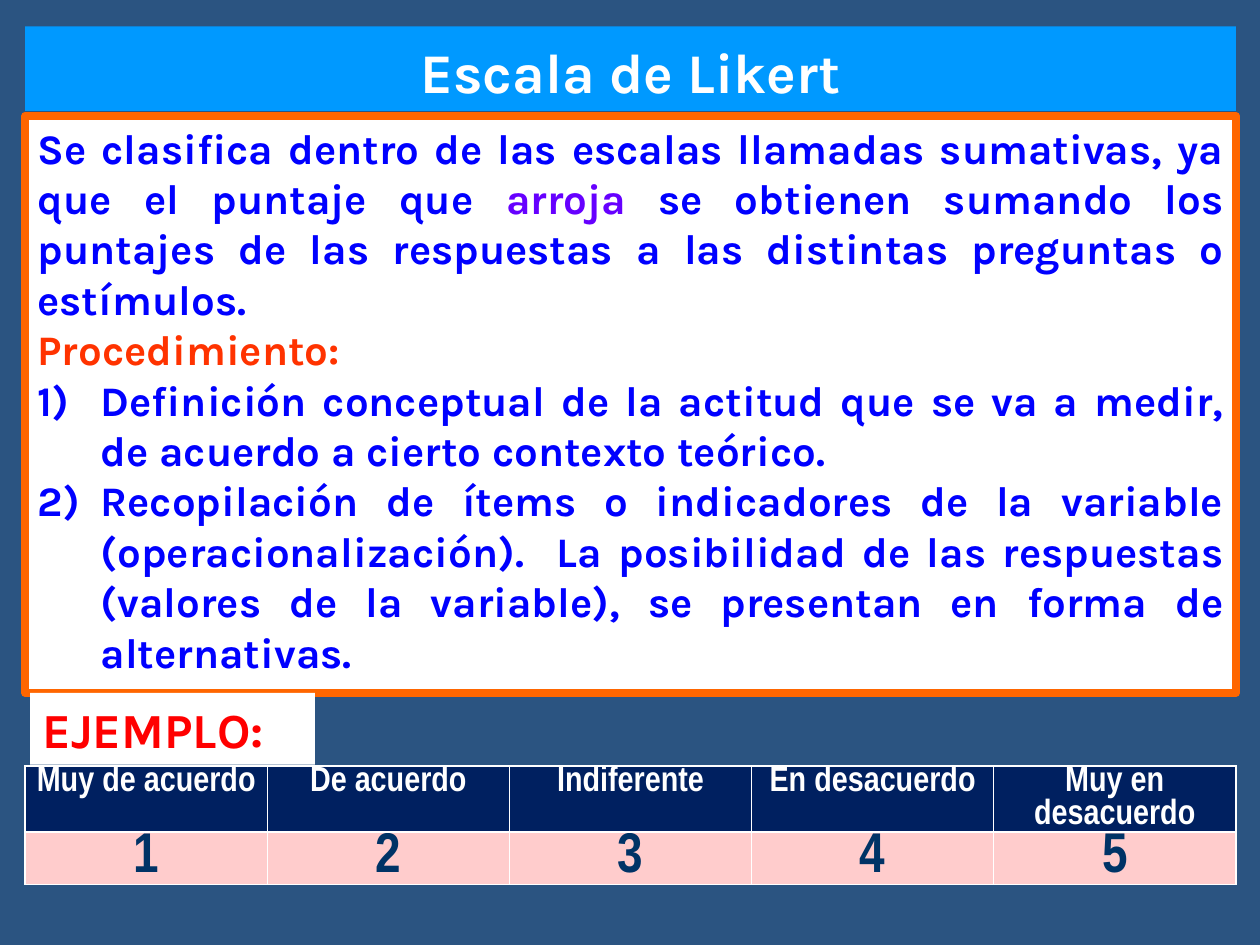
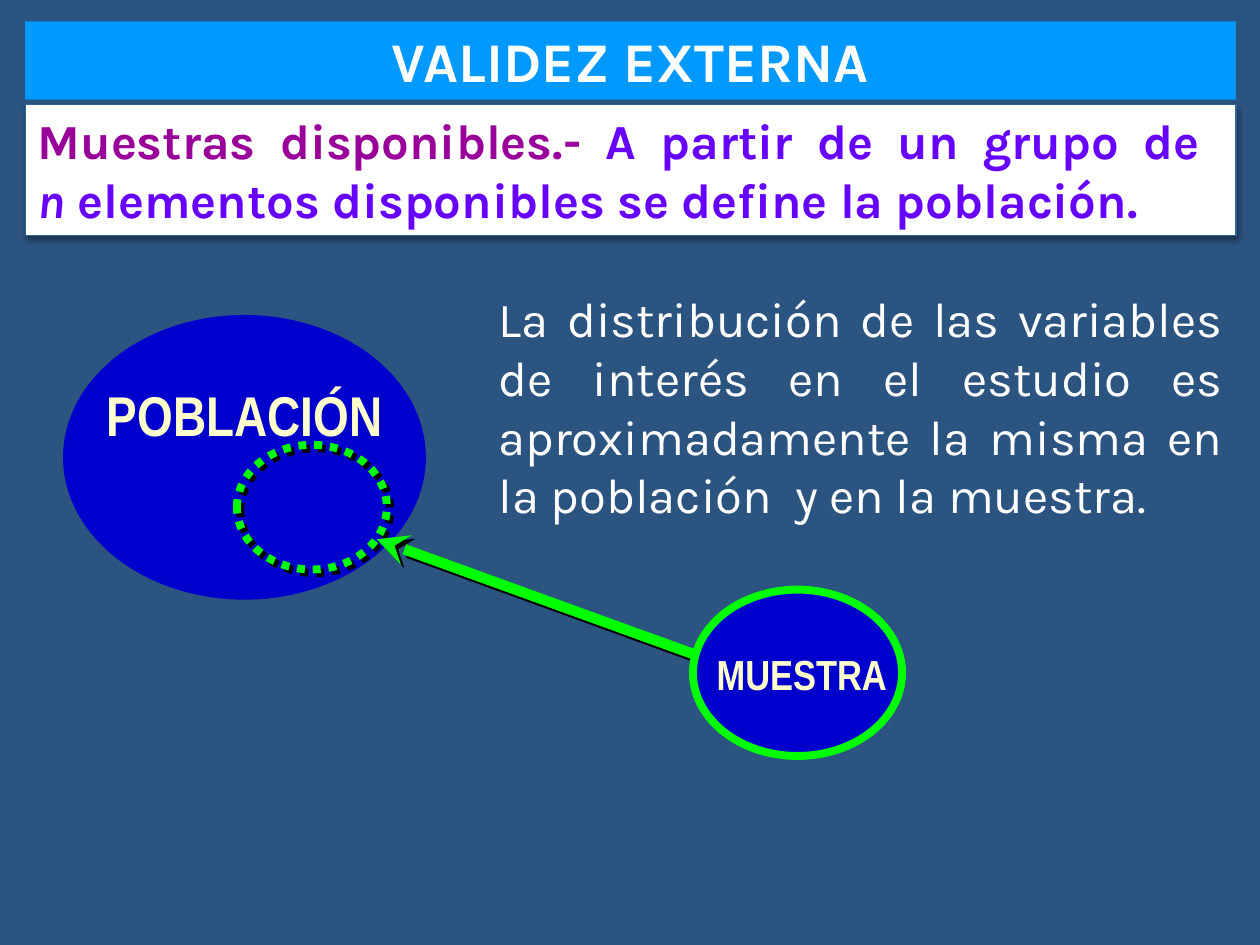
"""Build two slides on the Likert scale and external validity."""
from dataclasses import dataclass

from lxml import etree
from pptx import Presentation
from pptx import util as u
from pptx.dml.color import RGBColor
from pptx.enum import dml, shapes, text
from pptx.oxml.ns import qn


@dataclass(frozen=True)
class Theme:
    """Colours, fonts, type sizes and page measures."""
    back: str = "2B5481"
    band: str = "0099FF"
    white: str = "FFFFFF"
    black: str = "000000"
    blue: str = "0000FF"
    violet: str = "6600FF"
    purple: str = "990099"
    orange: str = "FF6600"
    vermilion: str = "FF3300"
    red: str = "FF0000"
    navy: str = "002060"
    ink: str = "003366"
    pink: str = "FFCCCC"
    steel: str = "2F6498"
    oval: str = "0000CC"
    cream: str = "FFFFCC"
    green: str = "00FF00"
    body: str = "Karla"
    narrow: str = "Arial Narrow"
    title: int = 32
    large: int = 28
    medium: int = 24
    small: int = 20
    margin: float = 0.2
    width: float = 9.61


T = Theme()
ALIGN = {"l": text.PP_ALIGN.LEFT, "c": text.PP_ALIGN.CENTER, "j": text.PP_ALIGN.JUSTIFY}
TOP, MIDDLE, BOTTOM = (text.MSO_ANCHOR.TOP, text.MSO_ANCHOR.MIDDLE, text.MSO_ANCHOR.BOTTOM)
RECT, OVAL = shapes.MSO_SHAPE.RECTANGLE, shapes.MSO_SHAPE.OVAL
SOFT_SHADOW = (T.black, 38, 3.1, 1.6, 90)
HARD_SHADOW = (T.black, 100, 0, 2.8, 45)

LIKERT = [
    ("j", False, [
        ("Se clasifica dentro de las escalas llamadas sumativas, ya que el puntaje que ", T.blue),
        ("arroja", T.violet),
        (" se obtienen sumando los puntajes de las respuestas a las distintas preguntas "
         "o estímulos.", T.blue)]),
    ("j", False, [("Procedimiento:", T.vermilion)]),
    ("j", True, [("Definición conceptual de la actitud que se va a medir, de acuerdo a cierto "
                  "contexto teórico.", T.blue)]),
    ("j", True, [("Recopilación de ítems o indicadores de la variable (operacionalización).  "
                  "La posibilidad de las respuestas (valores de la variable), se presentan en "
                  "forma de alternativas.", T.blue)]),
]
ANSWERS = ["Muy de acuerdo", "De acuerdo", "Indiferente", "En desacuerdo", "Muy en desacuerdo"]
SAMPLES = [("j", False, [
    ("Muestras disponibles.- ", T.purple),
    ("A partir de un grupo de \n", T.violet),
    ("n", T.violet, True),
    (" elementos disponibles se define la población.", T.violet)])]
DISTRIBUTION = ("La distribución de las variables de interés en el estudio es aproximadamente "
                "la misma en la población  y en la muestra.")
OVAL_LABELS = [("POBLACIÓN", (0.75, 2.97, 2.46, 0.64), T.title),
               ("MUESTRA", (5.59, 5.09, 1.74, 0.51), T.medium)]


def rgb(value):
    """Turn a hex string into a colour."""
    return RGBColor.from_string(value)


def inches(lengths):
    """Turn inches into lengths of the file."""
    return [u.Inches(length) for length in lengths]


def add_node(parent, tag, **attributes):
    """Append a drawing element to a parent."""
    return etree.SubElement(parent, qn(tag), {key: str(value) for key, value in attributes.items()})


def set_shadow(shape, shadow):
    """Replace the theme shadow by the given one, or by none."""
    properties = shape._element.spPr
    effects = properties.find(qn("a:effectLst"))
    if effects is None:
        effects = add_node(properties, "a:effectLst")
    if shadow:
        color, alpha, blur, distance, angle = shadow
        outer = add_node(effects, "a:outerShdw", blurRad=u.Pt(blur), dist=u.Pt(distance),
                         dir=angle * 60000, algn="ctr", rotWithShape=0)
        add_node(add_node(outer, "a:srgbClr", val=color), "a:alpha", val=alpha * 1000)


def write(frame, paragraphs, size, font=T.body, bold=True, anchor=TOP):
    """Fill a text frame with (alignment, numbered, runs) paragraphs."""
    frame.word_wrap = True
    frame.vertical_anchor = anchor
    for index, (align, numbered, runs) in enumerate(paragraphs):
        para = frame.add_paragraph() if index else frame.paragraphs[0]
        para.alignment = ALIGN[align]
        if numbered:
            properties = para._p.get_or_add_pPr()
            properties.set("marL", str(u.Inches(0.5)))
            properties.set("indent", str(-u.Inches(0.5)))
            add_node(properties, "a:buFontTx")
            add_node(properties, "a:buAutoNum", type="arabicParenR")
        for words, color, *italic in runs:
            span = para.add_run()
            span.text = words.rstrip("\n")
            span.font.name, span.font.size = font, u.Pt(size)
            span.font.bold, span.font.italic = bold, bool(italic)
            span.font.color.rgb = rgb(color)
            if words.endswith("\n"):
                para.add_line_break()


def add_box(page, place, fill=None, line=None, kind=RECT, shadow=None):
    """Add a preset shape with plain fill, (colour, width) line and shadow."""
    box = page.shapes.add_shape(kind, *inches(place))
    box.shadow.inherit = False
    if fill:
        box.fill.solid()
        box.fill.fore_color.rgb = rgb(fill)
    else:
        box.fill.background()
    if line:
        box.line.color.rgb, box.line.width = rgb(line[0]), u.Pt(line[1])
    else:
        box.line.fill.background()
    set_shadow(box, shadow)
    return box


def add_label(page, place, words, size, color, **style):
    """Add a free text box holding one paragraph."""
    align = style.pop("align", "l")
    box = page.shapes.add_textbox(*inches(place))
    write(box.text_frame, [(align, False, [(words, color)])], size, **style)


def add_page(deck, title, top, height):
    """Add a page with its background and title band."""
    page = deck.slides.add_slide(deck.slide_layouts[6])
    page.background.fill.solid()
    page.background.fill.fore_color.rgb = rgb(T.back)
    band = add_box(page, (T.margin, top, T.width, height), T.band)
    write(band.text_frame, [("c", False, [(title, T.white)])], T.title, anchor=BOTTOM)
    return page


def add_answers(page):
    """Add the table of answers and their scores."""
    rows = [(ANSWERS, T.small, T.white, T.navy),
            (range(1, len(ANSWERS) + 1), T.title, T.ink, T.pink)]
    frame = page.shapes.add_table(len(rows), len(ANSWERS),
                                  *inches((T.margin, 6.08, T.width, 0.78)))
    table = frame.table
    table.first_row = table.horz_banding = False
    for r, (values, size, color, fill) in enumerate(rows):
        for c, value in enumerate(values):
            cell = table.cell(r, c)
            cell.margin_left = cell.margin_right = u.Inches(0.05)
            cell.margin_top = cell.margin_bottom = 0
            properties = cell._tc.get_or_add_tcPr()
            for side in "LRTB":
                edge = add_node(properties, f"a:ln{side}", w=u.Pt(1))
                add_node(add_node(edge, "a:solidFill"), "a:srgbClr", val=T.white)
            cell.fill.solid()
            cell.fill.fore_color.rgb = rgb(fill)
            write(cell.text_frame, [("c", False, [(str(value), color)])], size, T.narrow)
            cell.vertical_anchor = TOP


def add_arrow(page, tip, tail):
    """Add the arrow from the sample to its place in the population."""
    arrow = page.shapes.add_connector(shapes.MSO_CONNECTOR.STRAIGHT, *inches(tip + tail))
    arrow.line.color.rgb, arrow.line.width = rgb(T.green), u.Pt(6)
    add_node(arrow.line._get_or_add_ln(), "a:headEnd", type="stealth")
    set_shadow(arrow, HARD_SHADOW)


def build_likert(deck):
    """Build the Likert scale page."""
    page = add_page(deck, "Escala de Likert", 0.21, 0.67)
    panel = add_box(page, (T.margin, 0.92, T.width, 4.58), T.white, (T.orange, 4.5))
    write(panel.text_frame, LIKERT, T.medium)
    add_answers(page)
    example = add_box(page, (0.24, 5.5, 2.26, 0.57), T.white)
    write(example.text_frame, [("l", False, [("EJEMPLO:", T.red)])], T.large)


def build_validity(deck):
    """Build the external validity page."""
    page = add_page(deck, "VALIDEZ EXTERNA", 0.17, 0.62)
    panel = add_box(page, (T.margin, 0.83, T.width, 1.04), T.white, (T.steel, 0.75),
                    shadow=SOFT_SHADOW)
    write(panel.text_frame, SAMPLES, T.large)
    add_box(page, (0.5, 2.5, 2.88, 2.26), T.oval, kind=OVAL)
    add_label(page, (3.86, 2.24, 5.94, 1.99), DISTRIBUTION, T.large, T.white,
              bold=False, align="j")
    subset = add_box(page, (1.88, 3.53, 1.19, 0.99), line=(T.green, 4.5), kind=OVAL,
                     shadow=HARD_SHADOW)
    subset.line.dash_style = dml.MSO_LINE.ROUND_DOT
    add_arrow(page, (2.99, 4.28), (5.83, 5.31))
    add_box(page, (5.5, 4.68, 1.66, 1.32), T.oval, (T.green, 4.5), OVAL)
    for words, place, size in OVAL_LABELS:
        add_label(page, place, words, size, T.cream, font=T.narrow, anchor=MIDDLE)


def main():
    """Build the deck and save it."""
    deck = Presentation()
    deck.slide_width, deck.slide_height = inches((10, 7.5))
    build_likert(deck)
    build_validity(deck)
    deck.save("out.pptx")


if __name__ == "__main__":
    main()
